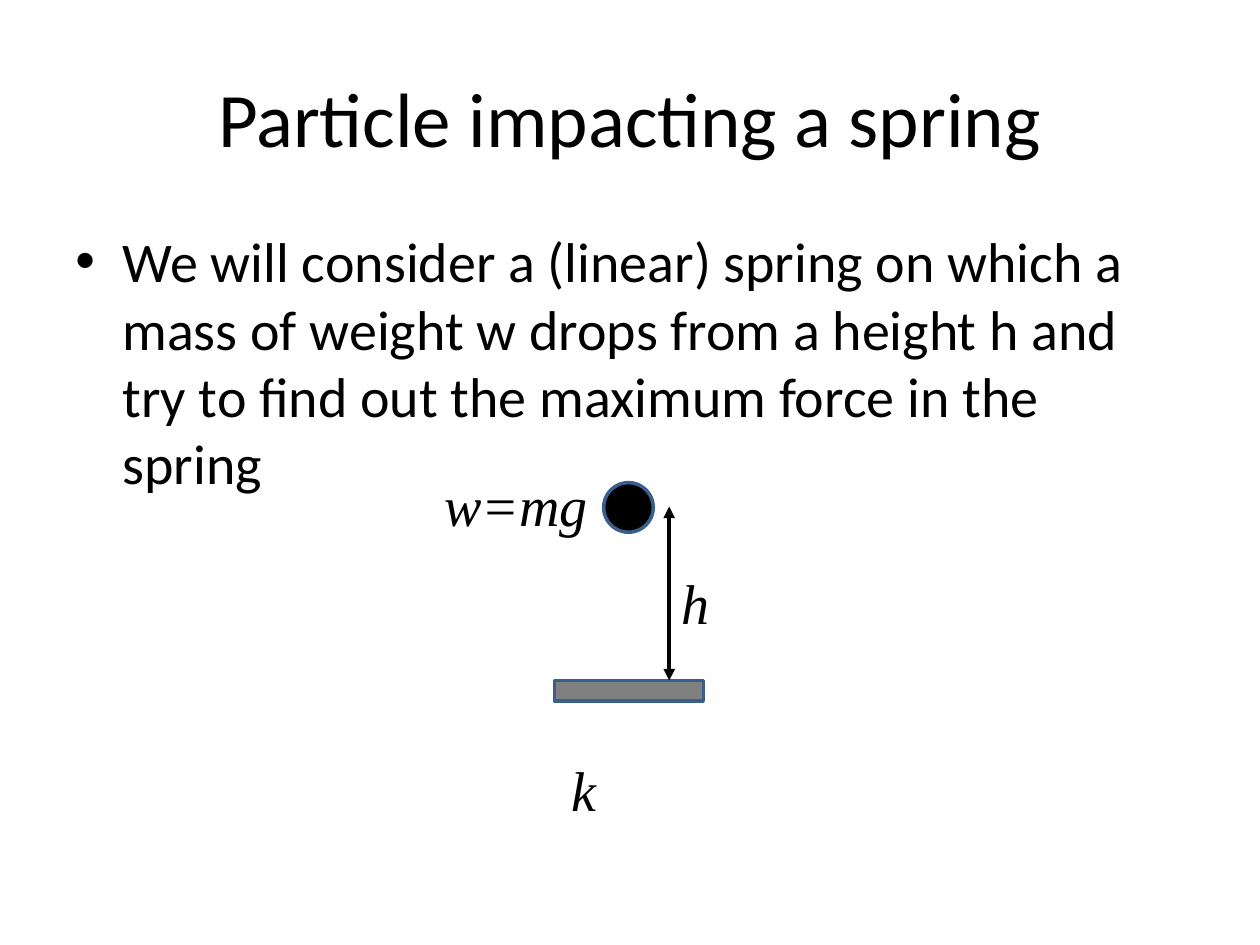
"""Build the slide about a particle that drops onto a spring."""
from lxml.etree import SubElement
from pptx import Presentation
from pptx.dml.color import RGBColor
from pptx.enum.shapes import MSO_CONNECTOR as Link, MSO_SHAPE as Kind
from pptx.enum.text import MSO_ANCHOR as Anchor, MSO_AUTO_SIZE as Fit, PP_ALIGN as Align
from pptx.oxml.ns import qn
from pptx.util import Cm, Pt


def tint(code):
    return RGBColor.from_string(code)


def write(text, left, top, width, height, size, face="Calibri"):
    box = slide.shapes.add_textbox(Cm(left), Cm(top), Cm(width), Cm(height))
    frame = box.text_frame
    frame.text = text
    frame.word_wrap = True
    font = frame.paragraphs[0].runs[0].font
    font.name, font.size = face, Pt(size)
    font.color.rgb = tint("000000")
    return frame


deck = Presentation()
deck.slide_width, deck.slide_height = Cm(25.4), Cm(19.05)
slide = deck.slides.add_slide(deck.slide_layouts[6])

title = write("Particle impacting a spring", 1.27, 0.76, 22.86, 3.18, 44)
title.vertical_anchor = Anchor.MIDDLE
title.paragraphs[0].alignment = Align.CENTER

body = write(
    "We will consider a (linear) spring on which a mass of weight w drops "
    "from a height h and try to find out the maximum force in the spring",
    1.27, 4.45, 22.86, 12.57, 32)
props = body.paragraphs[0]._p.get_or_add_pPr()
props.set("marL", str(Cm(0.95)))
props.set("indent", str(-Cm(0.95)))
SubElement(props, qn("a:buFont"), typeface="Arial")
SubElement(props, qn("a:buChar"), char="•")

for kind, left, top, width, height, fill in (
    (Kind.RECTANGLE, 11.18, 13.72, 3, 0.41, "808080"),
    (Kind.OVAL, 12.17, 9.73, 1, 1, "000000"),
):
    part = slide.shapes.add_shape(kind, Cm(left), Cm(top), Cm(width), Cm(height))
    part.shadow.inherit = False
    part.fill.solid()
    part.fill.fore_color.rgb = tint(fill)
    part.line.color.rgb = tint("3A5F8C")
    part.line.width = Pt(2)

drop = slide.shapes.add_connector(Link.STRAIGHT, Cm(13.49), Cm(10.21), Cm(13.49), Cm(13.72))
drop.line.color.rgb = tint("000000")
drop.line.width = Pt(2.25)
for end in ("a:headEnd", "a:tailEnd"):
    SubElement(drop.line._get_or_add_ln(), qn(end), type="triangle")
SubElement(drop._element.spPr, qn("a:effectLst"))

for text, left, top, width in (
    ("k", 11.28, 15.11, 1.02),
    ("w=mg", 8.71, 9.37, 3.43),
    ("h", 13.49, 11.33, 1.09),
):
    label = write(text, left, top, width, 1.63, 32, "Times New Roman")
    label.word_wrap = False
    label.auto_size = Fit.SHAPE_TO_FIT_TEXT
    label.paragraphs[0].runs[0].font.italic = True

deck.save("out.pptx")
